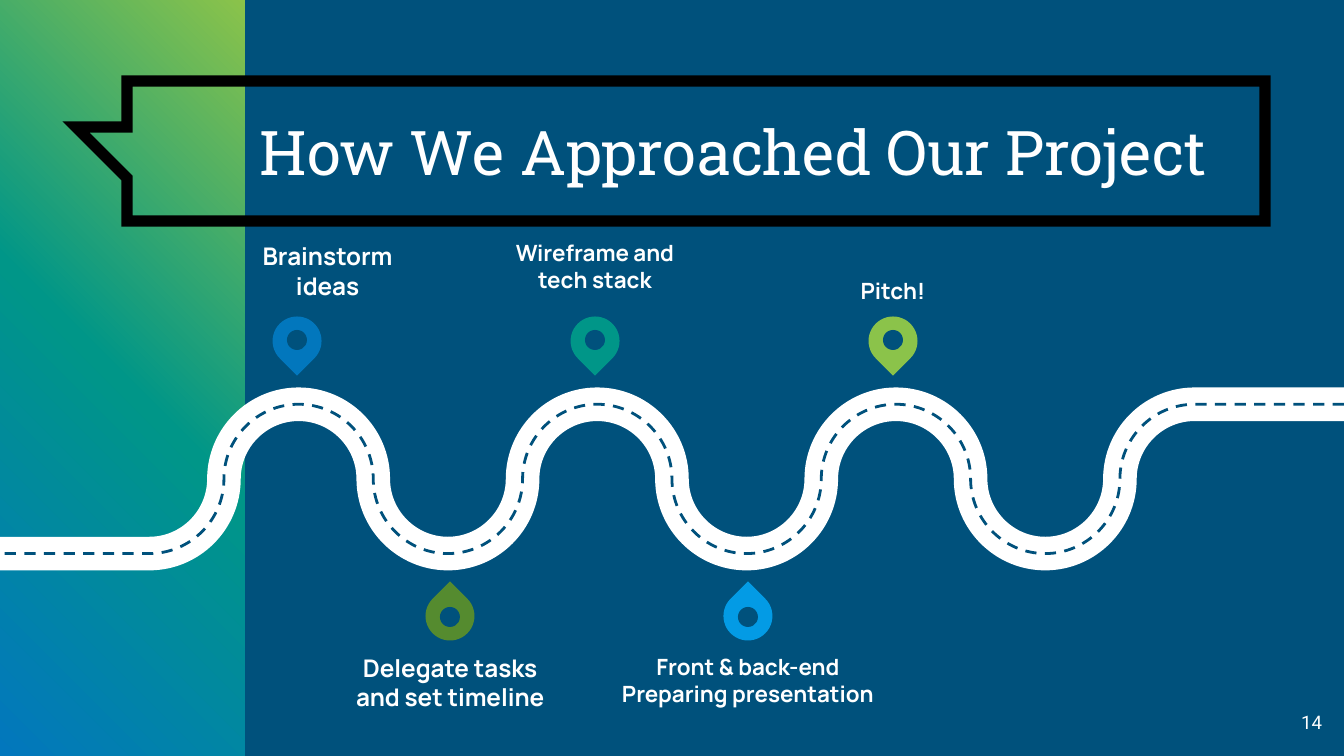
from copy import deepcopy
from dataclasses import dataclass

from lxml import etree
from pptx import Presentation
from pptx.dml.color import RGBColor
from pptx.enum.dml import MSO_LINE
from pptx.enum.shapes import MSO_SHAPE
from pptx.enum.text import MSO_ANCHOR, PP_ALIGN
from pptx.oxml.ns import qn
from pptx.util import Pt

RECT, OVAL, TEARDROP = MSO_SHAPE.RECTANGLE, MSO_SHAPE.OVAL, MSO_SHAPE.TEAR
TOP, MIDDLE, BOTTOM = MSO_ANCHOR.TOP, MSO_ANCHOR.MIDDLE, MSO_ANCHOR.BOTTOM
LEFT, CENTER, RIGHT = PP_ALIGN.LEFT, PP_ALIGN.CENTER, PP_ALIGN.RIGHT
DASH = MSO_LINE.DASH


@dataclass(frozen=True)
class Theme:
    navy: str = "00517C"
    white: str = "FFFFFF"
    black: str = "000000"
    blue: str = "0277BD"
    teal: str = "009688"
    lime: str = "8BC34A"
    olive: str = "558B2F"
    sky: str = "039BE5"
    title_font: str = "Roboto Slab"
    number_font: str = "Roboto"
    label_font: str = "Manrope"
    title_size: int = 33
    large_size: int = 13
    label_size: int = 12
    number_size: int = 10


T = Theme()
EMU_PER_PX = 914400 / 134.4
W, H = 1344, 756

TITLE = "How We Approached Our Project"
PAGE_NUMBER = "14"
CALLOUT = [(127, 81), (1265, 81), (1265, 221), (127, 221),
           (127, 178), (76, 127), (127, 127)]

# lines, size, label box (x, y, w, h), pin centre x, pin colour, above the road
STEPS = [
    (["Brainstorm ideas"], T.large_size, (240, 222, 175, 78), 297, T.blue, True),
    (["Delegate tasks and set timeline"], T.large_size,
     (355, 653, 190, 78), 450, T.olive, False),
    (["Wireframe and tech stack"], T.label_size, (491, 215, 208, 78), 595, T.teal, True),
    (["Front & back-end", "Preparing presentation"], T.label_size,
     (613, 653, 270, 78), 748, T.sky, False),
    (["Pitch!"], T.label_size, (798, 226, 190, 78), 893, T.lime, True),
]

PIN, HOLE = 49, 20
ROAD_MID = 479
ROAD_UNIT = W / 18  # bend radius
FIRST_BEND, LAST_BEND = 16, 2  # in units from the left edge
ARC = 0.55  # handle length of a quarter circle, as a share of its radius


def px(n):
    return round(n * EMU_PER_PX)


def rgb(value):
    return RGBColor.from_string(value)


def add_shape(shapes, kind, x, y, w, h, color):
    sp = shapes.add_shape(kind, px(x), px(y), px(w), px(h))
    sp.shadow.inherit = False
    sp.fill.solid()
    sp.fill.fore_color.rgb = rgb(color)
    sp.line.fill.background()
    return sp


def add_outline(shapes, points, color, width, close=False):
    """Draw an unfilled path through px points."""
    emu = [(px(x), px(y)) for x, y in points]
    builder = shapes.build_freeform(*emu[0], scale=1.0)
    builder.add_line_segments(emu[1:], close=close)
    sp = builder.convert_to_shape()
    sp.shadow.inherit = False
    sp.fill.background()
    sp.line.color.rgb = rgb(color)
    sp.line.width = Pt(width)
    return sp


def add_text(shapes, lines, box, font, size, align, anchor=TOP, inset=0, bold=False):
    sp = shapes.add_textbox(*map(px, box))
    tf = sp.text_frame
    tf.word_wrap = True
    tf.vertical_anchor = anchor
    tf.margin_left = tf.margin_right = tf.margin_top = tf.margin_bottom = px(inset)
    for i, line in enumerate(lines):
        p = tf.add_paragraph() if i else tf.paragraphs[0]
        p.alignment = align
        r = p.add_run()
        r.text = line
        r.font.name = font
        r.font.size = Pt(size)
        r.font.bold = bold
        r.font.color.rgb = rgb(T.white)


def add_side_band(shapes):
    sp = add_shape(shapes, RECT, 0, 0, 245, H, T.teal)
    sp.fill.gradient()
    sp.fill.gradient_angle = 45
    stops = sp._element.spPr.find(".//" + qn("a:gsLst"))
    stops.insert(1, deepcopy(stops[0]))
    for stop, color, position in zip(
            sp.fill.gradient_stops, (T.blue, T.teal, T.lime), (0, 0.5, 1)):
        stop.color.rgb = rgb(color)
        stop.position = position


def road_points():
    """List the road's ends and quarter-circle joints from right to left."""
    offsets = (-1, 0, 1, 0)  # crest, middle, trough, middle
    joints = [(unit * ROAD_UNIT, ROAD_MID + offsets[i % 4] * ROAD_UNIT)
              for i, unit in enumerate(range(FIRST_BEND, LAST_BEND - 1, -1))]
    return [(W, joints[0][1]), *joints, (0, joints[-1][1])]


def add_road(shapes, color, width):
    """Draw the road, turning the segments between joints into quarter circles."""
    sp = add_outline(shapes, road_points(), color, width)
    points = list(sp._element.iter(qn("a:pt")))
    xy = [(int(pt.get("x")), int(pt.get("y"))) for pt in points]
    for i in range(2, len(points) - 1):
        (x0, y0), (x1, y1) = xy[i - 1], xy[i]
        dx, dy = round(ARC * (x1 - x0)), round(ARC * (y1 - y0))
        if i % 2 == 0:  # leaves a crest or trough: level first, then upright
            handles = (x0 + dx, y0), (x1, y1 - dy)
        else:
            handles = (x0, y0 + dy), (x1 - dx, y1)
        segment = points[i].getparent()
        segment.tag = qn("a:cubicBezTo")
        for n, (x, y) in enumerate(handles):
            segment.insert(n, etree.Element(qn("a:pt"), x=str(x), y=str(y)))
    return sp


def add_pin(shapes, x, color, above):
    pin_y, hole_y, turn = (341, 340, 135) if above else (616, 617, 315)
    group = shapes.add_group_shape().shapes
    drop = add_shape(group, TEARDROP, x - PIN / 2, pin_y - PIN / 2, PIN, PIN, color)
    drop.adjustments[0] = 1
    drop.rotation = turn
    add_shape(group, OVAL, x - HOLE / 2, hole_y - HOLE / 2, HOLE, HOLE, T.navy)


def main():
    prs = Presentation()
    prs.slide_width, prs.slide_height = px(W), px(H)
    slide = prs.slides.add_slide(prs.slide_layouts[6])
    slide.background.fill.solid()
    slide.background.fill.fore_color.rgb = rgb(T.navy)
    shapes = slide.shapes

    add_side_band(shapes)
    callout = add_outline(shapes, CALLOUT, T.black, 6, close=True)
    line = callout._element.spPr.find(qn("a:ln"))
    etree.SubElement(line, qn("a:miter"), lim="800000")
    add_text(shapes, [TITLE], (247, 87, 1019, 128), T.title_font, T.title_size,
             LEFT, MIDDLE, inset=13)
    add_text(shapes, [PAGE_NUMBER], (1255, 700, 80, 56), T.number_font,
             T.number_size, RIGHT, inset=13)

    add_road(shapes, T.white, 18)
    add_road(shapes, T.navy, 1.5).line.dash_style = DASH

    for lines, size, box, pin_x, color, above in STEPS:
        add_pin(shapes, pin_x, color, above)
        add_text(shapes, lines, box, T.label_font, size, CENTER,
                 BOTTOM if above else TOP, bold=True)
    prs.save("out.pptx")


if __name__ == "__main__":
    main()
